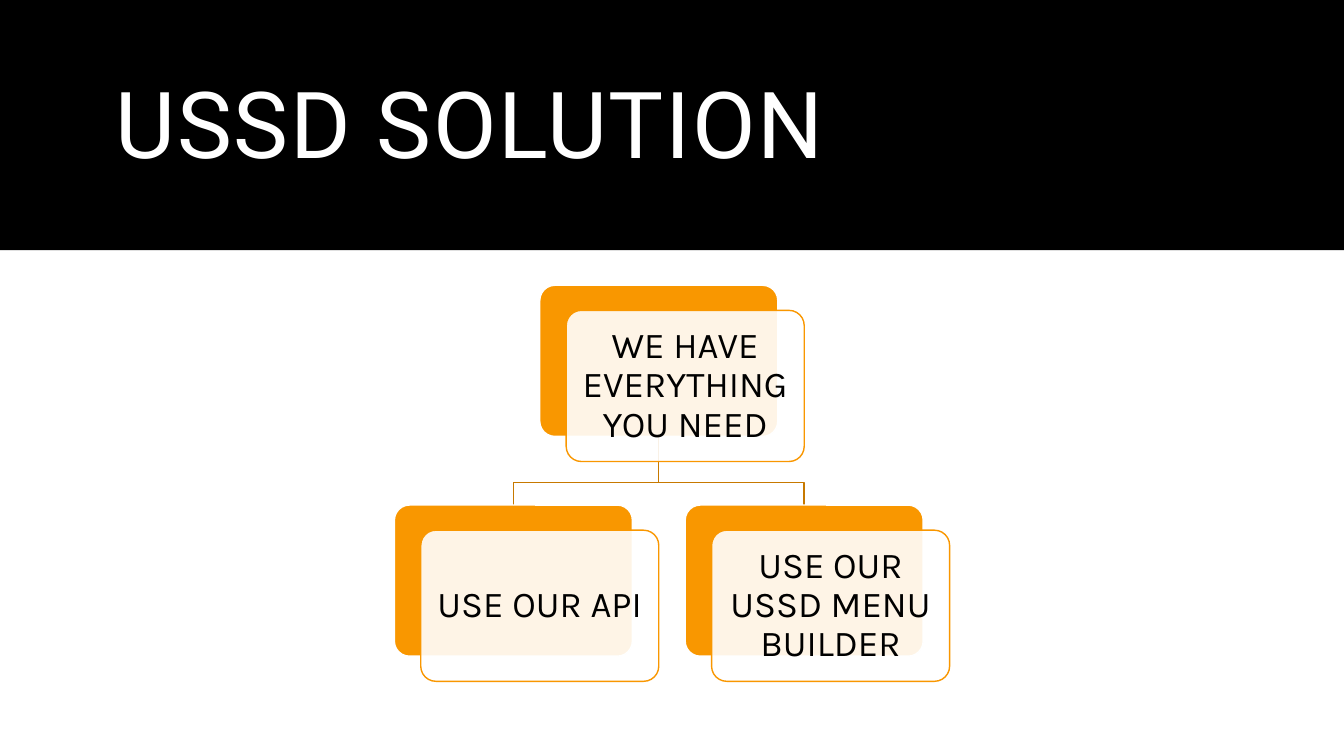
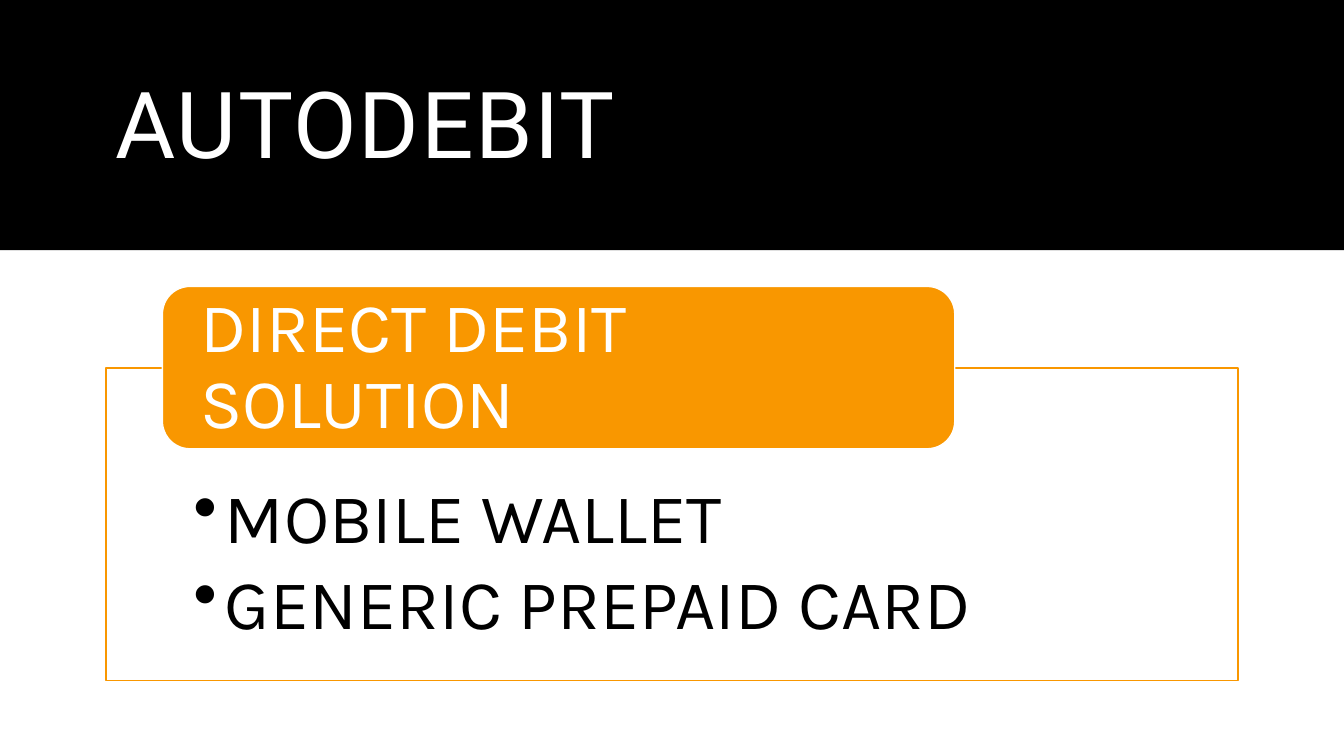
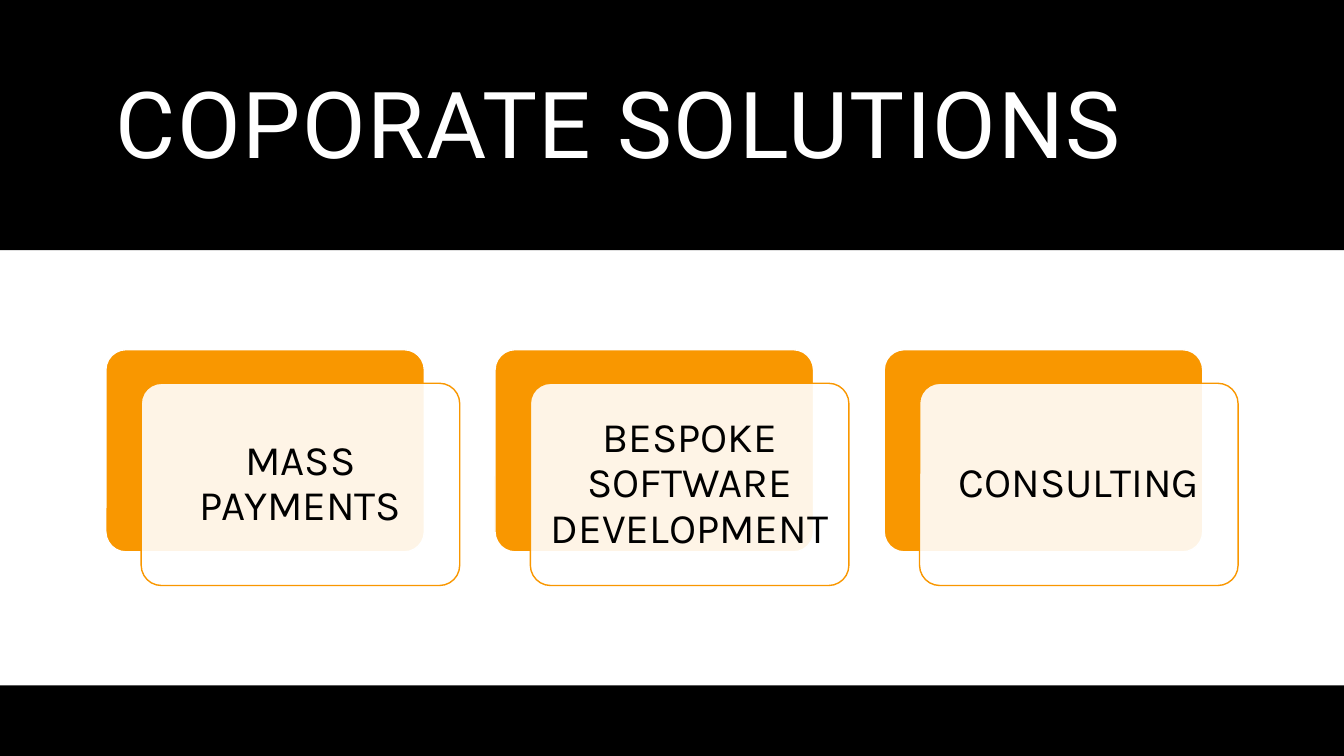
from dataclasses import dataclass

from lxml.etree import SubElement
from pptx import Presentation
from pptx.dml.color import RGBColor
from pptx.enum.shapes import MSO_SHAPE
from pptx.enum.text import MSO_ANCHOR, PP_ALIGN
from pptx.oxml.ns import qn
from pptx.util import Pt

USSD = {
    "title": "USSD SOLUTION",
    "root": "WE HAVE EVERYTHING YOU NEED",
    "options": ["USE OUR API", "USE OUR USSD MENU BUILDER"],
}
AUTODEBIT = {
    "title": "AUTODEBIT",
    "heading": "DIRECT DEBIT SOLUTION",
    "sources": ["MOBILE WALLET", "GENERIC PREPAID CARD"],
}
CORPORATE = {
    "title": "COPORATE SOLUTIONS",
    "services": ["MASS PAYMENTS", "BESPOKE SOFTWARE DEVELOPMENT", "CONSULTING"],
}


@dataclass(frozen=True)
class Theme:
    black: str = "000000"
    white: str = "FFFFFF"
    orange: str = "F99700"
    branch: str = "C77900"
    title_font: str = "Roboto"
    body_font: str = "Karla"
    title_size: float = 66
    list_size: float = 50
    service_size: float = 30
    option_size: float = 26
    title_tracking: float = 1.2
    line_spacing: float = 0.9


THEME = Theme()
WIDTH, HEIGHT = 960, 540
MARGIN = 75.6
CONTENT_WIDTH = WIDTH - 2 * MARGIN
BAND_HEIGHT = 178.6
FOOTER_TOP = 489.6

CARD_HEIGHT = 0.635
CARD_PITCH = 1.222
FRONT_RIGHT = 0.111
FRONT_DOWN = 0.1055
BRANCH_BEND = 0.67


def write(shape, paragraphs, *, size, color=THEME.black, font=THEME.body_font,
          align=PP_ALIGN.LEFT, anchor=MSO_ANCHOR.MIDDLE,
          insets=(7.2, 3.6, 7.2, 3.6), tracking=0, bullet=None, indent=0, after=0):
    frame = shape.text_frame
    frame.word_wrap = True
    frame.vertical_anchor = anchor
    (frame.margin_left, frame.margin_top,
     frame.margin_right, frame.margin_bottom) = map(Pt, insets)
    for index, words in enumerate(paragraphs):
        paragraph = frame.add_paragraph() if index else frame.paragraphs[0]
        paragraph.alignment = align
        paragraph.line_spacing = THEME.line_spacing
        paragraph.space_after = Pt(after)
        if bullet:
            properties = paragraph._p.get_or_add_pPr()
            properties.set("marL", str(Pt(indent)))
            properties.set("indent", str(-Pt(indent)))
            SubElement(properties, qn("a:buChar")).set("char", bullet)
        run = paragraph.add_run()
        run.text = words
        run.font.name = font
        run.font.size = Pt(size)
        run.font.color.rgb = RGBColor.from_string(color)
        if tracking:
            run._r.get_or_add_rPr().set("spc", str(round(tracking * 100)))


def paint(shape, fill=None, line=None, opacity=100):
    shape.shadow.inherit = False
    if fill:
        shape.fill.solid()
        shape.fill.fore_color.rgb = RGBColor.from_string(fill)
        if opacity < 100:
            tint = shape._element.spPr.find(qn("a:solidFill"))[0]
            SubElement(tint, qn("a:alpha")).set("val", str(opacity * 1000))
    else:
        shape.fill.background()
    if line:
        shape.line.color.rgb = RGBColor.from_string(line)
        shape.line.width = Pt(1)
    else:
        shape.line.fill.background()


def block(slide, box, fill, line=None, opacity=100, corner=None):
    kind = MSO_SHAPE.ROUNDED_RECTANGLE if corner else MSO_SHAPE.RECTANGLE
    shape = slide.shapes.add_shape(kind, *map(Pt, box))
    if corner:
        shape.adjustments[0] = corner
    paint(shape, fill, line, opacity)
    return shape


def titled_slide(deck, title):
    slide = deck.slides.add_slide(deck.slide_layouts[6])
    block(slide, (0, 0, WIDTH, BAND_HEIGHT), THEME.black)
    title_box = slide.shapes.add_textbox(*map(Pt, (MARGIN, 25.2, CONTENT_WIDTH, 133.9)))
    write(title_box, [title], size=THEME.title_size, color=THEME.white,
          font=THEME.title_font, tracking=THEME.title_tracking)
    return slide


def row_lefts(count, width):
    span = width * (CARD_PITCH * (count - 1) + 1 + FRONT_RIGHT)
    return [(WIDTH - span) / 2 + i * width * CARD_PITCH for i in range(count)]


def card_row(slide, labels, *, width, top, size, inset):
    height = width * CARD_HEIGHT
    for label, left in zip(labels, row_lefts(len(labels), width)):
        block(slide, (left, top, width, height), THEME.orange, THEME.white, corner=0.1)
        front = block(slide, (left + width * FRONT_RIGHT, top + width * FRONT_DOWN,
                              width, height),
                      THEME.white, THEME.orange, opacity=90, corner=0.1)
        write(front, [label], size=size, align=PP_ALIGN.CENTER, insets=(inset,) * 4)


def branches(slide, count, *, width, root_top, options_top):
    start = root_top + width * CARD_HEIGHT
    bend = start + (options_top - start) * BRANCH_BEND
    root_x = row_lefts(1, width)[0] + width / 2
    for left in row_lefts(count, width):
        option_x = left + width / 2
        outline = slide.shapes.build_freeform(Pt(root_x), Pt(start))
        outline.add_line_segments(
            [(Pt(x), Pt(y)) for x, y in
             [(root_x, bend), (option_x, bend), (option_x, options_top)]],
            close=False)
        paint(outline.convert_to_shape(), line=THEME.branch)


def ussd_slide(deck):
    slide = titled_slide(deck, USSD["title"])
    width, root_top, options_top = 170, 203.8, 360.8
    branches(slide, len(USSD["options"]), width=width,
             root_top=root_top, options_top=options_top)
    for labels, top in (([USSD["root"]], root_top), (USSD["options"], options_top)):
        card_row(slide, labels, width=width, top=top, size=THEME.option_size, inset=8)


def autodebit_slide(deck):
    slide = titled_slide(deck, AUTODEBIT["title"])
    panel = block(slide, (MARGIN, 262.8, CONTENT_WIDTH, 223.2),
                  THEME.white, THEME.orange, opacity=90)
    write(panel, AUTODEBIT["sources"], size=THEME.list_size, anchor=MSO_ANCHOR.TOP,
          insets=(62.6, 82, 62.6, 28), bullet="•", indent=22.5, after=7.5)
    heading = block(slide, (116, 204.6, 566, 116), THEME.orange, THEME.white,
                    corner=0.17)
    write(heading, [AUTODEBIT["heading"]], size=THEME.list_size, color=THEME.white,
          insets=(21.6, 0, 21.6, 0))


def corporate_slide(deck):
    slide = titled_slide(deck, CORPORATE["title"])
    block(slide, (0, FOOTER_TOP, WIDTH, HEIGHT - FOOTER_TOP), THEME.black)
    card_row(slide, CORPORATE["services"], width=227.5, top=249.8,
             size=THEME.service_size, inset=8.8)


def main():
    deck = Presentation()
    deck.slide_width, deck.slide_height = Pt(WIDTH), Pt(HEIGHT)
    for build in (ussd_slide, autodebit_slide, corporate_slide):
        build(deck)
    deck.save("out.pptx")


if __name__ == "__main__":
    main()
